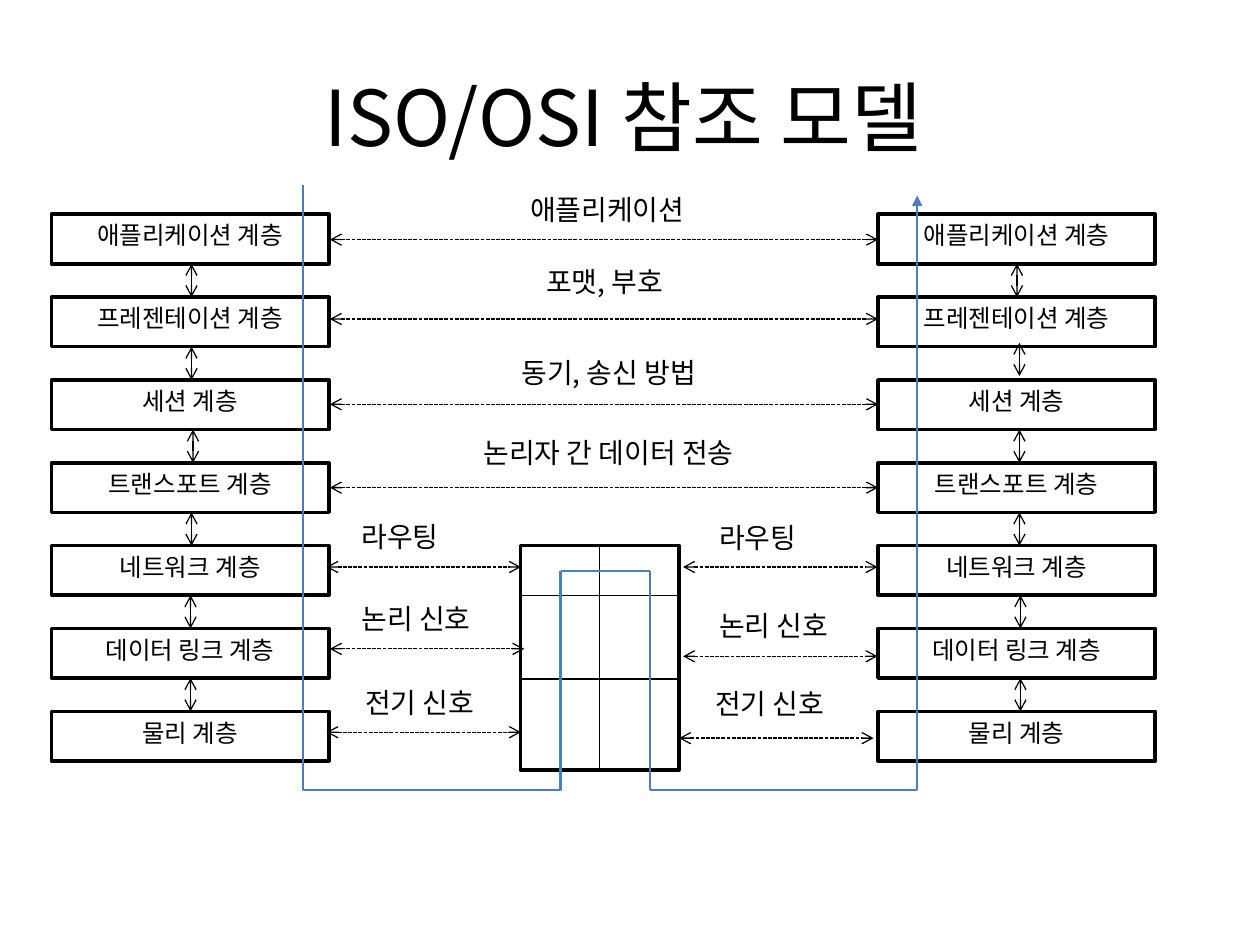
from itertools import pairwise

from lxml import etree
from pptx import Presentation
from pptx.dml.color import RGBColor
from pptx.enum.dml import MSO_LINE
from pptx.enum.shapes import MSO_CONNECTOR, MSO_SHAPE
from pptx.enum.text import MSO_ANCHOR, PP_ALIGN
from pptx.oxml.ns import qn
from pptx.util import Cm, Pt

THEME = {
    "font": "Noto Sans CJK KR",
    "ink": RGBColor(0, 0, 0),
    "path": RGBColor(0x4B, 0x7E, 0xBC),
    "title": Pt(44), "label": Pt(16), "layer": Pt(14),
    "box": Pt(2), "thin": Pt(0.75), "route": Pt(1.25),
}

prs = Presentation()
prs.slide_width, prs.slide_height = Cm(25.4), Cm(19.05)
slide = prs.slides.add_slide(prs.slide_layouts[6])
shapes = slide.shapes


def write(shape, text, size, align=PP_ALIGN.CENTER, anchor=MSO_ANCHOR.TOP):
    frame = shape.text_frame
    frame.word_wrap = True
    frame.vertical_anchor = anchor
    paragraph = frame.paragraphs[0]
    paragraph.alignment = align
    run = paragraph.add_run()
    run.text = text
    run.font.size = THEME[size]
    run.font.name = THEME["font"]
    run.font.color.rgb = THEME["ink"]
    east_asian = etree.SubElement(run.font._element, qn("a:ea"))
    east_asian.set("typeface", THEME["font"])


def draw_line(start, end, color="ink", width="thin", head=None, tail=None, dashed=False):
    line = shapes.add_connector(MSO_CONNECTOR.STRAIGHT, *map(Cm, start + end))
    line.line.color.rgb = THEME[color]
    line.line.width = THEME[width]
    if dashed:
        line.line.dash_style = MSO_LINE.SQUARE_DOT
    properties = line._element.spPr
    outline = properties.find(qn("a:ln"))
    for tag, kind in (("a:headEnd", head), ("a:tailEnd", tail)):
        if kind:
            etree.SubElement(outline, qn(tag)).set("type", kind)
    etree.SubElement(properties, qn("a:effectLst"))


# Title
title = shapes.add_textbox(Cm(1.14), Cm(0.74), Cm(22.86), Cm(3.18))
write(title, "ISO/OSI 참조 모델", "title", anchor=MSO_ANCHOR.MIDDLE)

# Layer boxes of both hosts, and the relay between them
layers = ["애플리케이션", "프레젠테이션", "세션", "트랜스포트", "네트워크", "데이터 링크", "물리"]
layer_top, pitch, layer_width, layer_height = 4.32, 1.67, 5.59, 1.0
left_host, right_host = 1.04, 17.7
relay_left, relay_top, relay_width, relay_height = 10.49, 11.0, 3.2, 4.52

boxes = [(x, layer_top + i * pitch, layer_width, layer_height, f"{name} 계층")
         for x in (left_host, right_host) for i, name in enumerate(layers)]
boxes.append((relay_left, relay_top, relay_width, relay_height, None))
for *place, text in boxes:
    box = shapes.add_shape(MSO_SHAPE.RECTANGLE, *map(Cm, place))
    box.shadow.inherit = False
    box.fill.background()
    box.line.color.rgb = THEME["ink"]
    box.line.width = THEME["box"]
    if text:
        write(box, text, "layer")

# Arrows between neighbouring layers
neighbour_x = [(3.86, 3.86, 3.89, 3.86, 3.84, 3.84),
               (20.5, 20.55, 20.55, 20.55, 20.57, 20.57)]
for host_x in neighbour_x:
    for i, x in enumerate(host_x):
        y = layer_top + i * pitch + layer_height
        if x == 20.55 and i == 1:  # this arrow sits slightly higher
            y -= 0.08
        draw_line((x, y), (x, y + pitch - layer_height), head="arrow", tail="arrow")

# Relay grid
for y in (12.01, 13.69):
    draw_line((relay_left, y), (relay_left + relay_width, y))
relay_middle = relay_left + relay_width / 2
draw_line((relay_middle, relay_top), (relay_middle, relay_top + relay_height))

# Peer arrows: left, y, length
host_span, relay_span = 11.05, 3.92
peers = [
    (6.65, 4.83, host_span), (6.65, 6.43, host_span),
    (6.65, 8.15, host_span), (6.65, 9.83, host_span),
    (6.58, 11.43, relay_span), (13.77, 11.43, relay_span),
    (6.65, 13.08, relay_span), (13.77, 13.23, relay_span),
    (6.58, 14.76, relay_span), (13.69, 14.88, relay_span),
]
for x, y, length in peers:
    draw_line((x, y), (x + length, y), head="arrow", tail="arrow", dashed=True)

# Data path through the relay
bottom, crossing = 15.93, 11.51
route = [(6.1, 3.73), (6.1, bottom), (11.3, bottom), (11.3, crossing),
         (13.11, crossing), (13.11, bottom), (18.49, bottom), (18.49, 3.94)]
for start, end in pairwise(route):
    draw_line(start, end, "path", "route", tail="triangle" if end == route[-1] else None)

# Peer labels: left, top, width, text, alignment
wide, narrow = 10.72, 3.0
labels = [
    (6.88, 3.76, wide, "애플리케이션", PP_ALIGN.CENTER),
    (6.83, 5.21, wide, "포맷, 부호", PP_ALIGN.CENTER),
    (6.91, 7.04, wide, "동기, 송신 방법", PP_ALIGN.CENTER),
    (6.91, 8.66, wide, "논리자 간 데이터 전송", PP_ALIGN.CENTER),
    (7.04, 10.34, narrow, "라우팅", PP_ALIGN.LEFT),
    (14.25, 10.36, narrow, "라우팅", PP_ALIGN.LEFT),
    (7.04, 12.01, narrow, "논리 신호", PP_ALIGN.LEFT),
    (14.25, 12.14, narrow, "논리 신호", PP_ALIGN.LEFT),
    (7.11, 13.69, narrow, "전기 신호", PP_ALIGN.LEFT),
    (14.17, 13.72, narrow, "전기 신호", PP_ALIGN.LEFT),
]
for x, y, width, text, align in labels:
    label = shapes.add_textbox(Cm(x), Cm(y), Cm(width), Cm(0.94))
    write(label, text, "label", align)

prs.save("out.pptx")
